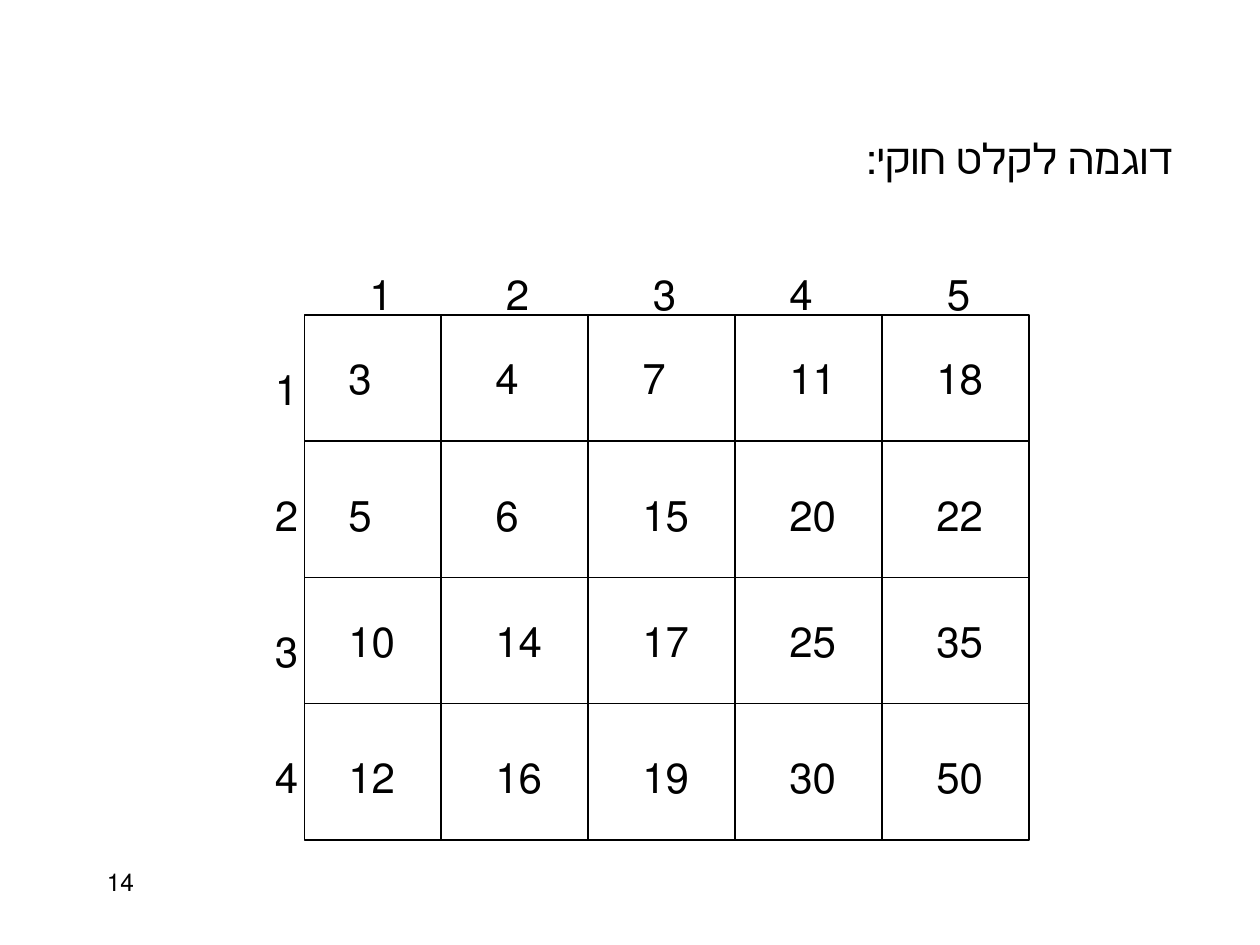
from itertools import accumulate

from lxml.etree import SubElement
from pptx import Presentation
from pptx.dml.color import RGBColor
from pptx.enum.shapes import MSO_CONNECTOR, MSO_SHAPE
from pptx.enum.text import MSO_ANCHOR, MSO_AUTO_SIZE, PP_ALIGN
from pptx.oxml.ns import qn
from pptx.util import Pt

FONT = "Times New Roman"
BLACK = "000000"
WHITE = "FFFFFF"
VALUES = [
    [3, 4, 7, 11, 18],
    [5, 6, 15, 20, 22],
    [10, 14, 17, 25, 35],
    [12, 16, 19, 30, 50],
]
COL_EDGES = list(accumulate([78, 84, 84, 84, 84], initial=0))
ROW_EDGES = list(accumulate([72, 78, 72, 78], initial=0))
VALUE_LEFTS = [18 + 84 * j for j in range(5)]
VALUE_TOPS = [18, 96, 168, 246]
COL_LABEL_LEFTS = [30, 108, 192, 270, 360]
ROW_LABEL_TOPS = [24, 96, 174, 246]


def rgb(value):
    return RGBColor.from_string(value)


def write(tf, text, size=24, align=PP_ALIGN.LEFT):
    p = tf.paragraphs[0]
    p.alignment = align
    p._p.get_or_add_pPr().set("rtl", "1")
    r = p.add_run()
    r.text = text
    r.font.size = Pt(size)
    r.font.name = FONT
    r.font.color.rgb = rgb(BLACK)


def add_label(s, text, x, y, w=36, h=36, size=24):
    tf = s.shapes.add_textbox(Pt(x), Pt(y), Pt(w), Pt(h)).text_frame
    tf.word_wrap = True
    write(tf, str(text), size)


def add_rule(s, x1, y1, x2, y2):
    line = s.shapes.add_connector(
        MSO_CONNECTOR.STRAIGHT, Pt(x1), Pt(y1), Pt(x2), Pt(y2)
    )
    line.line.color.rgb = rgb(BLACK)
    line.line.width = Pt(0.75)
    SubElement(line._element.spPr, qn("a:effectLst"))
    return line


def add_heading(s, text, x, y, w, h):
    title = s.shapes.title
    title.left, title.top, title.width, title.height = Pt(x), Pt(y), Pt(w), Pt(h)
    tf = title.text_frame
    tf.auto_size = MSO_AUTO_SIZE.NONE
    tf.word_wrap = True
    tf.vertical_anchor = MSO_ANCHOR.TOP
    write(tf, text, align=PP_ALIGN.RIGHT)


def add_grid(s, x, y, w, h):
    frame = s.shapes.add_shape(MSO_SHAPE.RECTANGLE, Pt(x), Pt(y), Pt(w), Pt(h))
    frame.shadow.inherit = False
    frame.fill.solid()
    frame.fill.fore_color.rgb = rgb(WHITE)
    frame.line.color.rgb = rgb(BLACK)
    frame.line.width = Pt(0.75)
    for edge in ROW_EDGES[1:-1]:
        line = add_rule(s, x, y + edge, x + w, y + edge)
        if edge == h / 2:
            line.begin_connect(frame, 1)
            line.end_connect(frame, 3)
    for edge in COL_EDGES[1:-1]:
        add_rule(s, x + edge, y, x + edge, y + h)


def add_matrix(s, x, y, w, h):
    add_grid(s, x, y, w, h)
    for n, left in enumerate(COL_LABEL_LEFTS, 1):
        add_label(s, n, x + left, y - 30)
    for n, top in enumerate(ROW_LABEL_TOPS, 1):
        add_label(s, n, x - 24, y + top)
    for numbers, top in zip(VALUES, VALUE_TOPS):
        for number, left in zip(numbers, VALUE_LEFTS):
            add_label(s, number, x + left, y + top, w=48)


def main():
    prs = Presentation()
    prs.slide_width, prs.slide_height = Pt(720), Pt(540)
    s = prs.slides.add_slide(prs.slide_layouts[5])
    add_heading(s, "דוגמה לקלט חוקי:", 12, 72, 666, 36)
    add_matrix(s, 174, 180, COL_EDGES[-1], ROW_EDGES[-1])
    add_label(s, "14", 54, 492, 150, 36, 14)
    prs.save("out.pptx")


if __name__ == "__main__":
    main()
